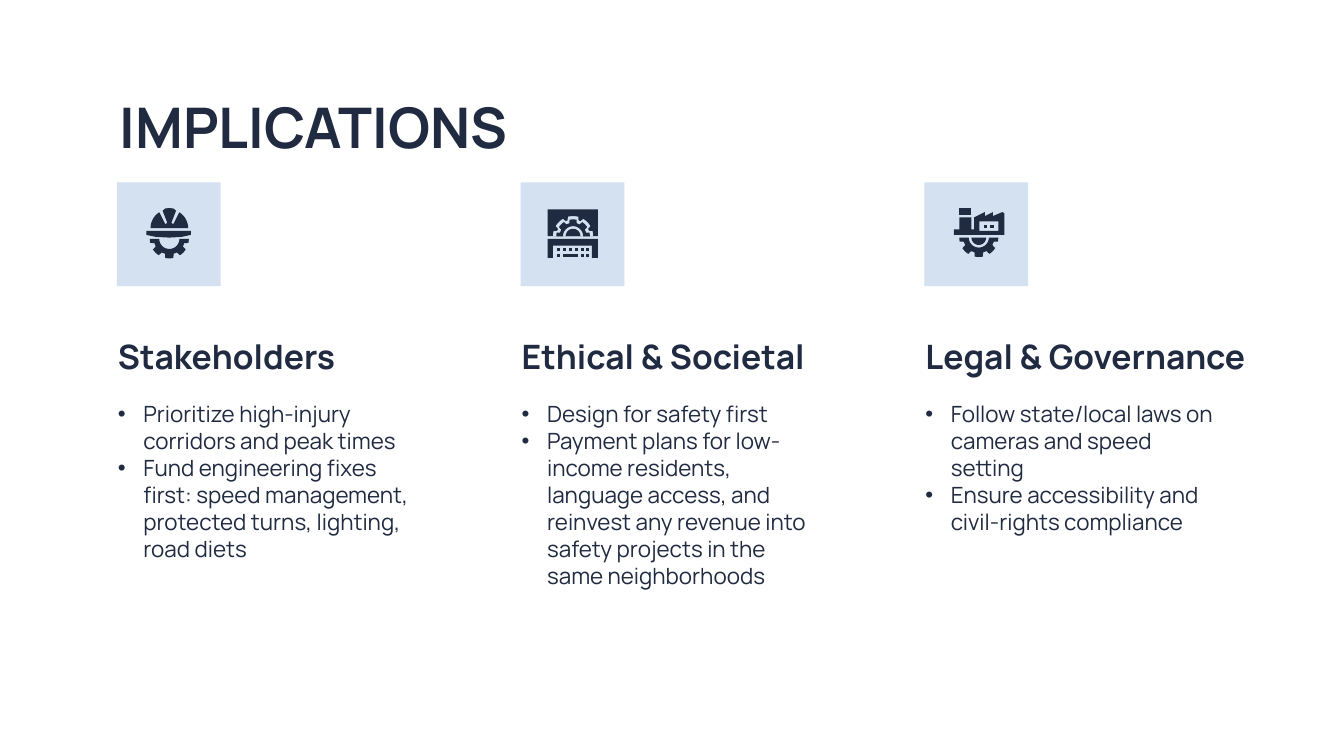
from math import cos, radians, sin

from lxml.etree import SubElement
from pptx import Presentation
from pptx.dml.color import RGBColor
from pptx.enum.shapes import MSO_SHAPE
from pptx.enum.text import MSO_ANCHOR, MSO_AUTO_SIZE, PP_ALIGN
from pptx.oxml.ns import qn
from pptx.util import Cm, Pt

NAVY, PALE = "202A41", "D3E1F1"
UNIT = Cm(0.0254)
FRAME = {"word_wrap": True, "auto_size": MSO_AUTO_SIZE.NONE,
         "margin_left": Cm(0.25), "margin_right": Cm(0.25),
         "margin_top": Cm(0.25), "margin_bottom": Cm(0.25)}
PARAGRAPH = {"alignment": PP_ALIGN.LEFT, "line_spacing": 1.0,
             "space_before": Pt(0), "space_after": Pt(0)}


def colour(fill, code):
    """Give a fill one solid colour from a hex string."""
    fill.solid()
    fill.fore_color.rgb = RGBColor.from_string(code)


def apply(target, values):
    """Set every attribute named in a dict of format values."""
    for name, value in values.items():
        setattr(target, name, value)


def write(holder, box, lines, size, bold=False, anchor=MSO_ANCHOR.TOP):
    """Place a text holder in its box and fill it with formatted lines."""
    apply(holder, dict(zip(("left", "top", "width", "height"), map(Cm, box))))
    frame = holder.text_frame
    frame.text = "\n".join(lines)
    apply(frame, FRAME | {"vertical_anchor": anchor})
    for paragraph in frame.paragraphs:
        apply(paragraph, PARAGRAPH)
        for run in paragraph.runs:
            apply(run.font, {"name": "Manrope", "size": Pt(size), "bold": bold})
            colour(run.font.fill, NAVY)


def add_bullets(holder):
    """Give each paragraph a round bullet with a hanging indent."""
    for paragraph in holder.text_frame.paragraphs:
        properties = paragraph._p.get_or_add_pPr()
        properties.set("marL", str(Cm(0.48)))
        properties.set("indent", str(-Cm(0.48)))
        SubElement(properties, qn("a:buFont"), typeface="Arial")
        SubElement(properties, qn("a:buChar"), char="•")


def finish(shape, code):
    """Fill a shape and take away its line and shadow."""
    colour(shape.fill, code)
    shape.line.fill.background()
    shape.shadow.inherit = False


def outline(slide, tile, *contours):
    """Draw contours, given in units from the tile corner, as one navy shape."""
    scaled = [[(x * UNIT, y * UNIT) for x, y in contour] for contour in contours]
    builder = slide.shapes.build_freeform(*scaled[0][0], scale=1.0)
    builder.add_line_segments(scaled[0][1:])
    for contour in scaled[1:]:
        builder.move_to(*contour[0])
        builder.add_line_segments(contour[1:])
    finish(builder.convert_to_shape(Cm(tile[0]), Cm(tile[1])), NAVY)


def block(left, top, width, height):
    """Return the corners of a rectangle."""
    return [(left, top), (left + width, top),
            (left + width, top + height), (left, top + height)]


def arc(x, y, radius, start, end, turn):
    """Return points on an arc, below the centre for turn 1, above for -1."""
    angles = [radians(start + (end - start) * step / 16) for step in range(17)]
    return [(x + radius * cos(a), y + turn * radius * sin(a)) for a in angles]


def half_gear(x, y, body, tooth, hub, turn, spread=12):
    """Return the contour of half a gear with teeth 45 degrees apart."""
    rim = []
    for middle in range(0, 181, 45):
        low, high = max(middle - spread, 0), min(middle + spread, 180)
        rim += arc(x, y, tooth, low, high, turn)
        if middle < 180:
            rim += arc(x, y, body, high + 4, middle + 41 - spread, turn)
    return rim + arc(x, y, hub, 180, 0, turn)


def hard_hat_icon(slide, tile):
    """Draw a hard hat above half a gear."""
    outline(slide, tile, [(22, 36), (55, 36), (55, 39), (48, 40.5),
                          (39, 41), (29, 40.5), (22, 39)])
    outline(slide, tile, half_gear(39, 42, 11.5, 14.5, 7.5, 1))
    ridge = [(36, 31), (37.5, 30), (34, 21), (36, 19.3), (39, 19),
             (42, 19.3), (44, 21), (40.5, 30), (42, 31)]
    outline(slide, tile, arc(39, 34, 14, 180, 122, -1) + ridge
            + arc(39, 34, 14, 58, 0, -1))


def laptop_icon(slide, tile):
    """Draw a laptop with half a gear on its screen."""
    outline(slide, tile, block(20, 20, 37.5, 20),
            half_gear(39, 40, 12.5, 15, 0, -1, 15))
    outline(slide, tile, half_gear(39, 40, 10, 12.5, 7.5, -1))
    outline(slide, tile, arc(39, 40, 5.5, 0, 180, -1))
    outline(slide, tile, [(20, 42), (57.5, 42), (57.5, 56), (53, 56),
                          (53, 47), (24, 47), (24, 56), (20, 56)])
    for column in range(6):
        outline(slide, tile, block(27 + 4.4 * column, 49, 2.2, 2.2))
    for left, width in ((27, 2.2), (31.4, 11), (44.6, 2.2), (49, 2.2)):
        outline(slide, tile, block(left, 53.5, width, 2.2))


def factory_icon(slide, tile):
    """Draw a factory above half a gear."""
    hall = [(22, 35), (26, 35), (26, 26), (35, 26), (35, 35), (37, 35),
            (37, 26), (45, 22), (45, 25), (51, 22), (51, 25), (58, 22),
            (59.5, 23), (59.5, 39), (22, 39)]
    outline(slide, tile, hall, block(41, 29, 14, 7))
    for left in (44, 49):
        outline(slide, tile, block(left, 31.3, 2.8, 2.4))
    outline(slide, tile, block(26, 19, 9, 5))
    outline(slide, tile, half_gear(40.5, 41, 11.5, 14.5, 7.5, 1))
    outline(slide, tile, arc(40.5, 41, 5.5, 0, 180, 1))


def topic_column(slide, body, box, heading, heading_width, points, draw_icon):
    """Place an icon tile, a heading and a bullet list in a column box."""
    left, top, width, height = box
    tile = (left + 0.23, top)
    finish(slide.shapes.add_shape(MSO_SHAPE.RECTANGLE, Cm(tile[0]), Cm(tile[1]),
                                  Cm(1.96), Cm(1.96)), PALE)
    draw_icon(slide, tile)
    label = slide.shapes.add_textbox(0, 0, 0, 0)
    write(label, (left, top + 2.31, heading_width, 1.6), [heading], 18, True,
          MSO_ANCHOR.BOTTOM)
    write(body, (left, top + 3.87, width, height - 3.87), points, 12)
    add_bullets(body)


def main():
    """Build the implications slide and save it."""
    deck = Presentation()
    deck.slide_width, deck.slide_height = Cm(25.4), Cm(14.29)
    slide = deck.slides.add_slide(deck.slide_layouts[4])
    title, *bodies, spare = slide.placeholders
    spare.element.getparent().remove(spare.element)
    write(title, (2.01, 1.5, 21.41, 1.6), ["IMPLICATIONS"], 30, True)
    topics = [
        ("Stakeholders", 7.09,
         ["Prioritize high-injury corridors and peak times",
          "Fund engineering fixes first: speed management, protected turns, "
          "lighting, road diets"], hard_hat_icon),
        ("Ethical & Societal", 6.17,
         ["Design for safety first",
          "Payment plans for low-income residents, language access, and "
          "reinvest any revenue into safety projects in the same neighborhoods"],
         laptop_icon),
        ("Legal & Governance", 7.14,
         ["Follow state/local laws on cameras and speed setting",
          "Ensure accessibility and civil-rights compliance"], factory_icon),
    ]
    for column, (body, topic) in enumerate(zip(bodies, topics)):
        topic_column(slide, body, (1.98 + 7.63 * column, 3.45, 6.17, 9.33), *topic)
    deck.save("out.pptx")


if __name__ == "__main__":
    main()
